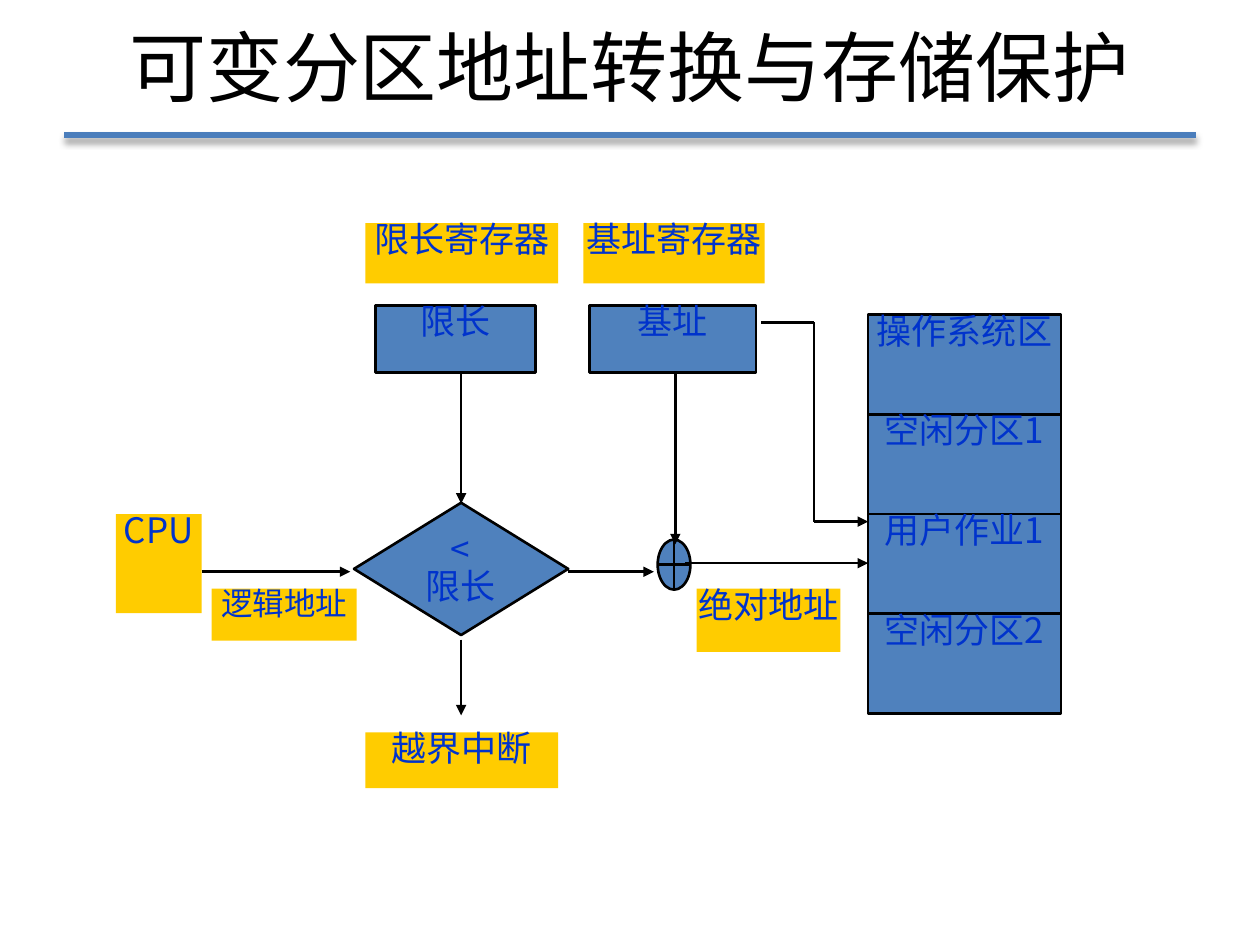
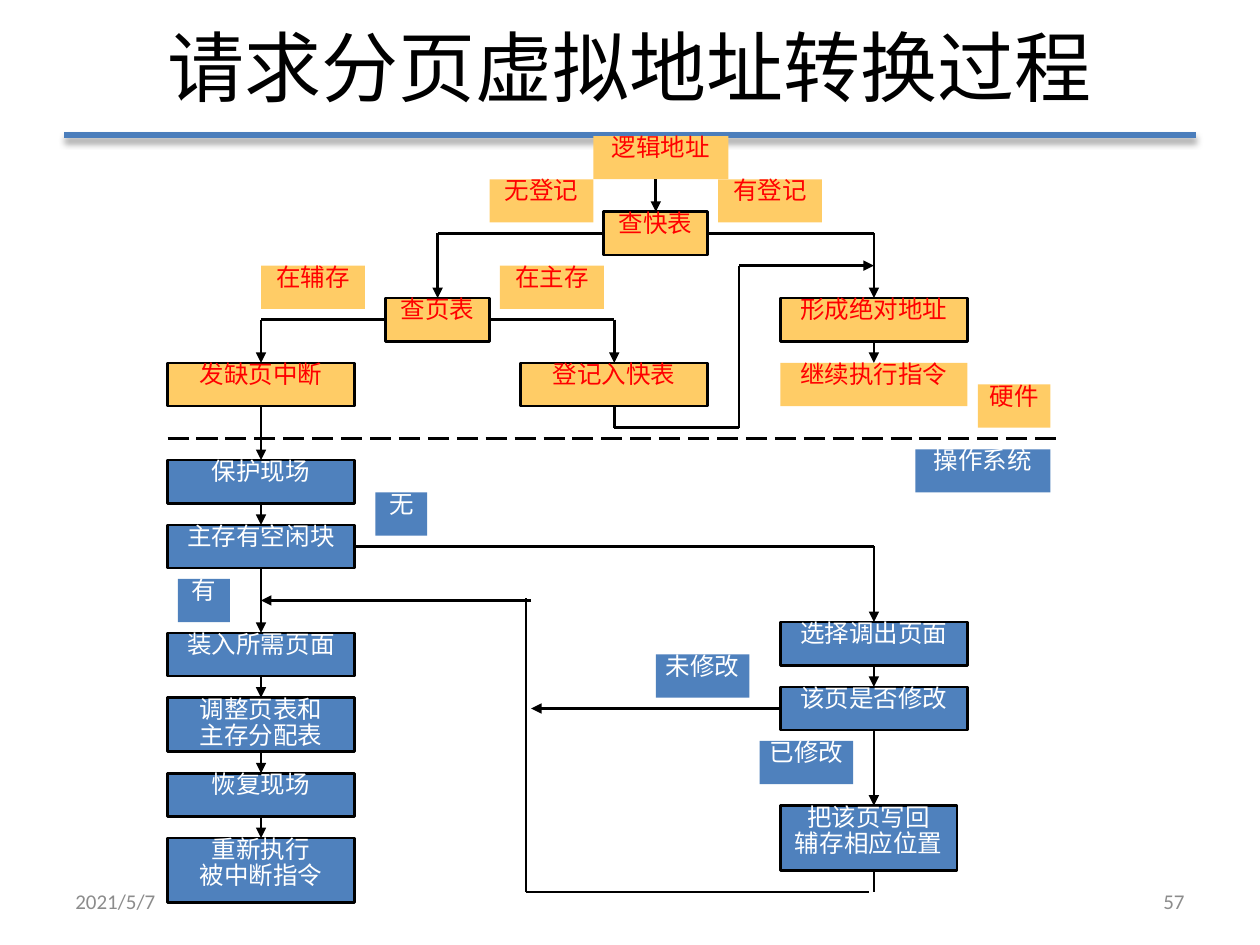
from lxml import etree
from pptx import Presentation
from pptx import util as u
from pptx.dml.color import RGBColor
from pptx.enum import dml, shapes, text
from pptx.oxml import ns

BLUE, RULE_BLUE, INK_BLUE = "4F81BD", "4B7EBC", "0033CC"
GOLD, LIGHT_GOLD = "FFCC00", "FFCC66"
BLACK, WHITE, RED, GREY = "000000", "FFFFFF", "FF0000", "8C8C8C"
CJK = "Noto Sans CJK JP"
RECT = shapes.MSO_SHAPE.RECTANGLE

# Grids: left, top, column width, row height in inches
WIDTH, HEIGHT = 10, 7.5
PERCENT = (0, 0, WIDTH / 100, HEIGHT / 100)
FLOW = (1.33, 1.08, (8.42 - 1.33) / 86, (7.08 - 1.08) / 70)


def add_box(slide, grid, place, words="", kind=RECT, fill=None, outline=False,
            size=14, color=BLACK, font=CJK, align=text.PP_ALIGN.CENTER,
            anchor=text.MSO_ANCHOR.TOP, inset=0, spacing=0.88):
    left, top, column, row = grid
    x, y, width, height = place
    box = [u.Inches(n) for n in
           (left + x * column, top + y * row, width * column, height * row)]
    if fill:
        shape = slide.shapes.add_shape(kind, *box)
        shape.shadow.inherit = False
        shape.fill.solid()
        shape.fill.fore_color.rgb = RGBColor.from_string(fill)
        if outline:
            shape.line.color.rgb = RGBColor.from_string(BLACK)
            shape.line.width = u.Pt(1.5)
        else:
            shape.line.fill.background()
    else:
        shape = slide.shapes.add_textbox(*box)
    if not words:
        return
    frame = shape.text_frame
    frame.word_wrap = True
    frame.vertical_anchor = anchor
    frame.margin_left = frame.margin_right = u.Inches(inset)
    frame.margin_top = frame.margin_bottom = u.Inches(inset / 2)
    frame.text = words
    for paragraph in frame.paragraphs:
        paragraph.alignment = align
        paragraph.line_spacing = spacing
        for run in paragraph.runs:
            run.font.size = u.Pt(size)
            run.font.name = font
            run.font.color.rgb = RGBColor.from_string(color)
            east_asian = etree.SubElement(run.font._element, ns.qn("a:ea"))
            east_asian.set("typeface", font)


def add_path(slide, grid, points, arrow=True, color=BLACK, width=1.5,
             dash=None, shadow=False):
    left, top, column, row = grid
    spots = [(u.Inches(left + x * column), u.Inches(top + y * row))
             for x, y in points]
    for start, end in zip(spots, spots[1:]):
        line = slide.shapes.add_connector(
            shapes.MSO_CONNECTOR.STRAIGHT, *start, *end)
        line.line.color.rgb = RGBColor.from_string(color)
        line.line.width = u.Pt(width)
        if dash:
            line.line.dash_style = dash
        properties = line._element.spPr
        effects = etree.SubElement(properties, ns.qn("a:effectLst"))
        if shadow:
            outer = etree.SubElement(
                effects, ns.qn("a:outerShdw"), blurRad=str(u.Pt(4)),
                dist=str(u.Pt(3)), dir="5400000", rotWithShape="0")
            tint = etree.SubElement(outer, ns.qn("a:srgbClr"), val=BLACK)
            etree.SubElement(tint, ns.qn("a:alpha"), val="40000")
        if arrow and end == spots[-1]:
            etree.SubElement(properties.find(ns.qn("a:ln")),
                             ns.qn("a:tailEnd"), type="triangle")


presentation = Presentation()
presentation.slide_width = u.Inches(WIDTH)
presentation.slide_height = u.Inches(HEIGHT)

# Shared title and rule
slides = []
for title in ("可变分区地址转换与存储保护", "请求分页虚拟地址转换过程"):
    slide = presentation.slides.add_slide(presentation.slide_layouts[6])
    add_path(slide, PERCENT, [(5.1, 14.3), (94.9, 14.3)], arrow=False,
             color=RULE_BLUE, width=3, shadow=True)
    add_box(slide, PERCENT, (5, -0.4, 90, 14.7), title, size=44,
            anchor=text.MSO_ANCHOR.MIDDLE, inset=0.1, spacing=1)
    slides.append(slide)
partition_slide, paging_slide = slides

# Slide 1: labels
for words, place, size in (
        ("限长寄存器", (29, 23.6, 15.3, 6.4), 20),
        ("基址寄存器", (46.3, 23.6, 14.4, 6.4), 20),
        ("CPU", (9.2, 54.4, 6.8, 10.5), 20),
        ("逻辑地址", (16.8, 62.3, 11.5, 5.5), 18),
        ("绝对地址", (55.3, 62.3, 11.4, 6.7), 20),
        ("越界中断", (29, 77.5, 15.3, 5.9), 20)):
    add_box(partition_slide, PERCENT, place, words, fill=GOLD,
            size=size, color=INK_BLUE)

# Slide 1: registers, comparison and adder
for words, place, kind in (
        ("限长", (29.8, 32.3, 12.7, 7.1), RECT),
        ("基址", (46.8, 32.3, 13.2, 7.1), RECT),
        ("", (28.1, 53.2, 17, 14), shapes.MSO_SHAPE.FLOWCHART_DECISION),
        ("", (52.2, 57.1, 2.6, 5.3), shapes.MSO_SHAPE.FLOWCHART_OR)):
    add_box(partition_slide, PERCENT, place, words, kind=kind, fill=BLUE,
            outline=True, size=20, color=INK_BLUE)
add_box(partition_slide, PERCENT, (32.7, 56.4, 7.7, 8), "<\n限长",
        size=20, color=INK_BLUE)

# Slide 1: memory partitions
PARTITION = 10.55
for i, words in enumerate(("操作系统区", "空闲分区1", "用户作业1", "空闲分区2")):
    add_box(partition_slide, PERCENT,
            (68.9, 33.3 + i * PARTITION, 15.3, PARTITION), words,
            fill=BLUE, outline=True, size=20, color=INK_BLUE)

# Slide 1: arrows
for points in (
        [(36.6, 39.4), (36.6, 53.3)],
        [(53.6, 39.4), (53.6, 57.6)],
        [(16, 60.5), (27.8, 60.5)],
        [(45.1, 60.5), (51.9, 60.5)],
        [(54.4, 59.6), (68.9, 59.6)],
        [(36.6, 67.7), (36.6, 75.7)],
        [(60.4, 34.1), (64.6, 34.1), (64.6, 55.2), (68.9, 55.2)]):
    add_path(partition_slide, PERCENT, points)

# Slide 2: date and page number
for words, left, align in (("2021/5/7", 5, text.PP_ALIGN.LEFT),
                           ("57", 71.7, text.PP_ALIGN.RIGHT)):
    add_box(paging_slide, PERCENT, (left, 92.7, 23.3, 5.3), words, size=12,
            color=GREY, font="Calibri", align=align,
            anchor=text.MSO_ANCHOR.MIDDLE, inset=0.1, spacing=1)

# Slide 2: steps and labels as words, column, row, columns wide, rows high
hardware_steps = (
    ("查快表", 42, 7, 10, 4), ("查页表", 21, 15, 10, 4),
    ("登记入快表", 34, 21, 18, 4), ("发缺页中断", 0, 21, 18, 4),
    ("形成绝对地址", 59, 15, 18, 4))
hardware_labels = (
    ("逻辑地址", 41, 0, 13, 4), ("无登记", 31, 4, 10, 4),
    ("有登记", 53, 4, 10, 4), ("在辅存", 9, 12, 10, 4),
    ("在主存", 32, 12, 10, 4), ("继续执行指令", 59, 21, 18, 4),
    ("硬件", 78, 23, 7, 4))
system_steps = (
    ("保护现场", 0, 30, 18, 4), ("主存有空闲块", 0, 36, 18, 4),
    ("装入所需页面", 0, 46, 18, 4), ("调整页表和\n主存分配表", 0, 52, 18, 5),
    ("恢复现场", 0, 59, 18, 4), ("重新执行\n被中断指令", 0, 65, 18, 6),
    ("选择调出页面", 59, 45, 18, 4), ("该页是否修改", 59, 51, 18, 4),
    ("把该页写回\n辅存相应位置", 59, 62, 17, 6))
system_labels = (
    ("操作系统", 72, 29, 13, 4), ("无", 20, 33, 5, 4), ("有", 1, 41, 5, 4),
    ("未修改", 47, 48, 9, 4), ("已修改", 57, 56, 9, 4))
for boxes, fill, color, outline in (
        (hardware_steps, LIGHT_GOLD, RED, True),
        (hardware_labels, LIGHT_GOLD, RED, False),
        (system_steps, BLUE, WHITE, True),
        (system_labels, BLUE, WHITE, False)):
    for words, *place in boxes:
        add_box(paging_slide, FLOW, place, words, fill=fill, color=color,
                outline=outline)

# Slide 2: straight arrows down each flow column
for column, start, end in (
        (47, 4, 7), (68, 19, 21), (9, 25, 30), (9, 34, 36), (9, 40, 46),
        (9, 50, 52), (9, 57, 59), (9, 63, 65), (68, 49, 51), (68, 55, 62)):
    add_path(paging_slide, FLOW, [(column, start), (column, end)])

# Slide 2: branches and returns
for points in (
        [(42, 9), (26, 9), (26, 15)],
        [(52, 9), (68, 9), (68, 15)],
        [(21, 17), (9, 17), (9, 21)],
        [(31, 17), (43, 17), (43, 21)],
        [(43, 25), (43, 27), (55, 27), (55, 12), (68, 12)],
        [(18, 38), (68, 38), (68, 45)],
        [(59, 53), (35, 53)],
        [(35, 43), (9, 43)]):
    add_path(paging_slide, FLOW, points)
add_path(paging_slide, FLOW, [(68, 68), (68, 70)], arrow=False)
add_path(paging_slide, FLOW, [(67.5, 70), (34.5, 70), (34.5, 42.8)],
         arrow=False)

# Slide 2: border between hardware and operating system
add_path(paging_slide, FLOW, [(0, 28), (86, 28)], arrow=False,
         dash=dml.MSO_LINE.LONG_DASH)

presentation.save("out.pptx")
